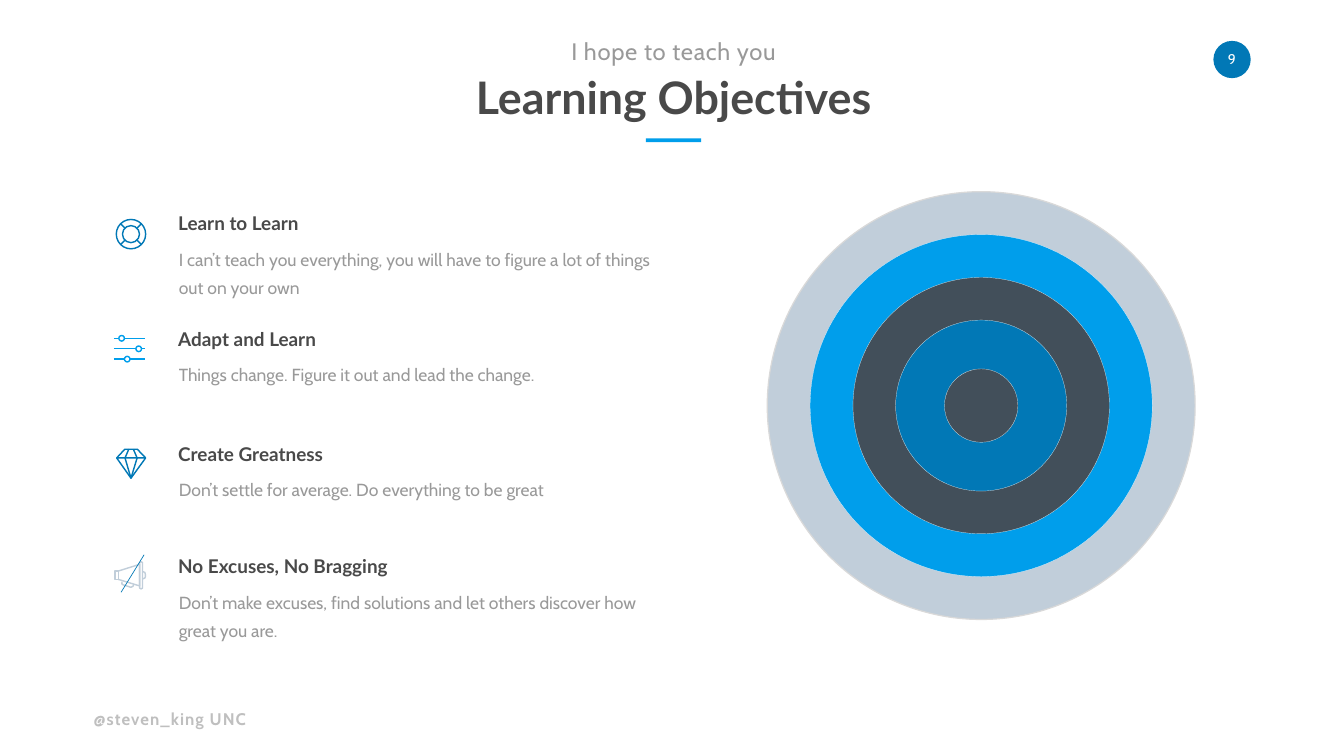
from math import sqrt

from lxml import etree
from pptx import Presentation
from pptx import util as u
from pptx.dml.color import RGBColor
from pptx.enum import shapes, text
from pptx.oxml.ns import qn

BLUE = RGBColor(0x01, 0x78, 0xB6)
SKY = RGBColor(0x00, 0x9E, 0xEB)
SLATE = RGBColor(0x42, 0x4F, 0x5A)
MIST = RGBColor(0xC1, 0xCE, 0xDA)
RIM = RGBColor(0xD9, 0xD9, 0xD9)
WHITE = RGBColor(0xFF, 0xFF, 0xFF)
DARK = RGBColor(0x49, 0x49, 0x49)
GREY = RGBColor(0x99, 0x99, 0x99)
PALE = RGBColor(0xBF, 0xBF, 0xBF)

LEFT, CENTER = text.PP_ALIGN.LEFT, text.PP_ALIGN.CENTER
TOP, MIDDLE = text.MSO_ANCHOR.TOP, text.MSO_ANCHOR.MIDDLE
OVAL, RECTANGLE = shapes.MSO_SHAPE.OVAL, shapes.MSO_SHAPE.RECTANGLE
ICON_STROKE = 2

deck = Presentation()
deck.slide_width, deck.slide_height = u.Cm(67.72), u.Cm(38.1)
page = deck.slides.add_slide(deck.slide_layouts[6])


def add_text(wording, frame, font, size, color, bold=False, align=LEFT, anchor=TOP,
             margins=(0, 0), wrap=False, leading=None, tracking=0):
    """Add a one-paragraph box; frame and margins are in cm, tracking in points."""
    box = page.shapes.add_textbox(*map(u.Cm, frame))
    body = box.text_frame
    body.text = wording
    body.word_wrap = wrap
    body.auto_size = text.MSO_AUTO_SIZE.SHAPE_TO_FIT_TEXT
    body.vertical_anchor = anchor
    body.margin_left = body.margin_right = u.Cm(margins[0])
    body.margin_top = body.margin_bottom = u.Cm(margins[1])
    para = body.paragraphs[0]
    para.alignment = align
    if leading:
        para.line_spacing = u.Pt(leading)
    span = para.runs[0]
    span.font.name, span.font.size, span.font.bold = font, u.Pt(size), bold
    span.font.color.rgb = color
    if tracking:
        span.font._element.set("spc", str(round(tracking * 100)))


def draw_strokes(strokes, color):
    """Draw several open polylines, given in cm, as one unfilled outline."""
    lines = [[(u.Cm(x), u.Cm(y)) for x, y in stroke] for stroke in strokes]
    builder = page.shapes.build_freeform(*lines[0][0])
    for number, line in enumerate(lines):
        if number:
            builder.move_to(*line[0])
        builder.add_line_segments(line[1:], close=False)
    outline = builder.convert_to_shape()
    outline.shadow.inherit = False
    outline.fill.background()
    outline.line.color.rgb = color
    outline.line.width = u.Pt(ICON_STROKE)


# Icon strokes
buoy_x, buoy_y, buoy_inner, buoy_outer = 6.6, 11.8, 0.43, 0.74
draw_strokes([[(buoy_x + sx * r / sqrt(2), buoy_y + sy * r / sqrt(2))
               for r in (buoy_inner, buoy_outer)]
              for sx in (-1, 1) for sy in (-1, 1)], BLUE)

sliders = [(6.13, 17.05), (6.99, 17.58), (6.41, 18.1)]
draw_strokes([[(5.74, y), (7.29, y)] for _, y in sliders], SKY)

gem_tip = (6.6, 24.1)
draw_strokes([
    [(5.88, 23.08), (6.29, 22.64), (6.92, 22.64), (7.34, 23.08), gem_tip,
     (5.88, 23.08), (7.34, 23.08)],
    [(6.49, 22.64), (6.3, 23.08), gem_tip],
    [(6.72, 22.64), (6.91, 23.08), gem_tip],
], BLUE)

draw_strokes([
    [(5.96, 28.78), (7.04, 28.44), (7.04, 29.53), (5.96, 29.2)],
    [(7.04, 28.35), (7.11, 28.31), (7.18, 28.35), (7.18, 29.64), (7.11, 29.68),
     (7.04, 29.64), (7.04, 28.35)],
    [(5.8, 28.77), (5.96, 28.77), (5.96, 29.2), (5.8, 29.2), (5.8, 28.77)],
    [(6.15, 29.31), (6.14, 29.43), (6.22, 29.48), (6.6, 29.6), (6.71, 29.54),
     (6.74, 29.44)],
    [(7.18, 28.8), (7.3, 28.85), (7.33, 28.97), (7.33, 29.06), (7.3, 29.13),
     (7.18, 29.18)],
], MIST)

# Circles: centre x, centre y, radius, fill, line colour, line width
circles = [(62.08, 3, 0.94, BLUE, None, 0)]
circles += [(buoy_x, buoy_y, r, None, BLUE, ICON_STROKE)
            for r in (buoy_outer, buoy_inner)]
circles += [(x, y, 0.14, WHITE, SKY, ICON_STROKE) for x, y in sliders]
target = [(10.78, MIST), (8.62, SKY), (6.46, SLATE), (4.31, BLUE), (1.85, SLATE)]
for ring, (radius, fill) in enumerate(target):
    rim, width = (WHITE, 0.25) if ring else (RIM, 1.75)
    circles.append((49.44, 20.44, radius, fill, rim, width))

for x, y, radius, fill, rim, width in circles:
    circle = page.shapes.add_shape(OVAL, u.Cm(x - radius), u.Cm(y - radius),
                                   u.Cm(2 * radius), u.Cm(2 * radius))
    circle.shadow.inherit = False
    if fill is None:
        circle.fill.background()
    else:
        circle.fill.solid()
        circle.fill.fore_color.rgb = fill
    if rim is None:
        circle.line.fill.background()
    else:
        circle.line.color.rgb = rim
        circle.line.width = u.Pt(width)

# Heading, page number and footer
accent = page.shapes.add_shape(RECTANGLE, u.Cm(32.54), u.Cm(6.98), u.Cm(2.79), u.Cm(0.18))
accent.shadow.inherit = False
accent.fill.solid()
accent.fill.fore_color.rgb = SKY
accent.line.fill.background()

add_text("9", (61.21, 2.29, 1.73, 1.37), "Cabin", 20, WHITE, align=CENTER,
         margins=(0.51, 0.25))
add_text("@steven_king UNC", (4.72, 35.69, 8.66, 1.02), "Cabin", 24, PALE, bold=True,
         anchor=MIDDLE, tracking=1.5)
add_text("Learning Objectives", (23.04, 3.48, 21.79, 2.74), "Lato", 64, DARK, bold=True,
         align=CENTER, anchor=MIDDLE)
add_text("I hope to teach you", (28.47, 1.85, 10.95, 1.45), "Cabin", 34, GREY,
         align=CENTER, anchor=MIDDLE, tracking=1)

# Objectives: top, heading width, heading, explanation
objectives = [
    (10.54, 7.19, "Learn to Learn",
     "I can’t teach you everything, you will have to figure a lot of things out on your own"),
    (16.36, 8.1, "Adapt and Learn", "Things change. Figure it out and lead the change."),
    (22.17, 8.48, "Create Greatness", "Don’t settle for average. Do everything to be great"),
    (27.84, 12.27, "No Excuses, No Bragging",
     "Don’t make excuses, find solutions and let others discover how great you are."),
]
for top, width, heading, explanation in objectives:
    add_text(heading, (8.73, top, width, 1.42), "Lato", 27, DARK, bold=True,
             margins=(0.25, 0.13))
    add_text(explanation, (8.76, top + 1.5, 24.35, 1.63), "Cabin", 25, GREY,
             margins=(0.25, 0.13), wrap=True, leading=40.3)

# Slash through the megaphone
slash = page.shapes.add_connector(shapes.MSO_CONNECTOR.STRAIGHT, u.Cm(7.26), u.Cm(27.96),
                                  u.Cm(6.1), u.Cm(29.85))
slash.line.color.rgb = BLUE
slash.line.width = u.Pt(1)
etree.SubElement(slash._element.spPr, qn("a:effectLst"))

deck.save("out.pptx")
